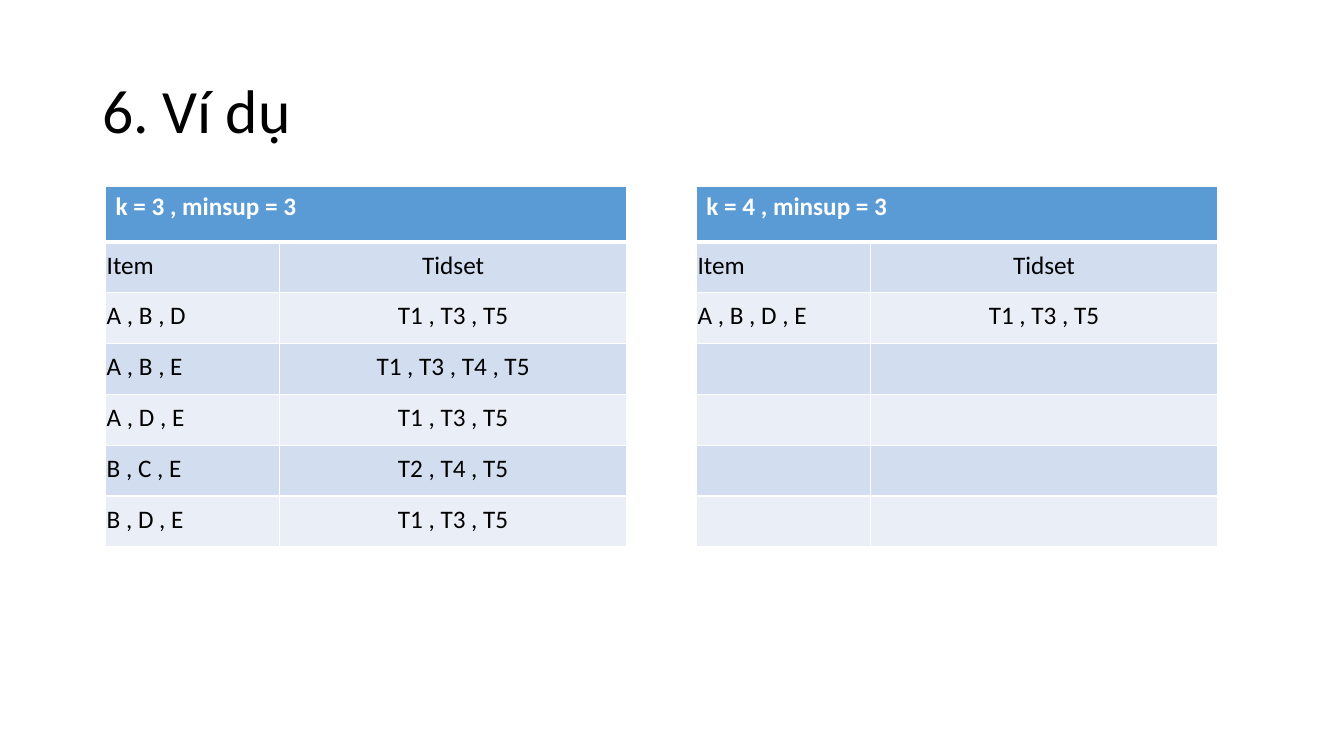
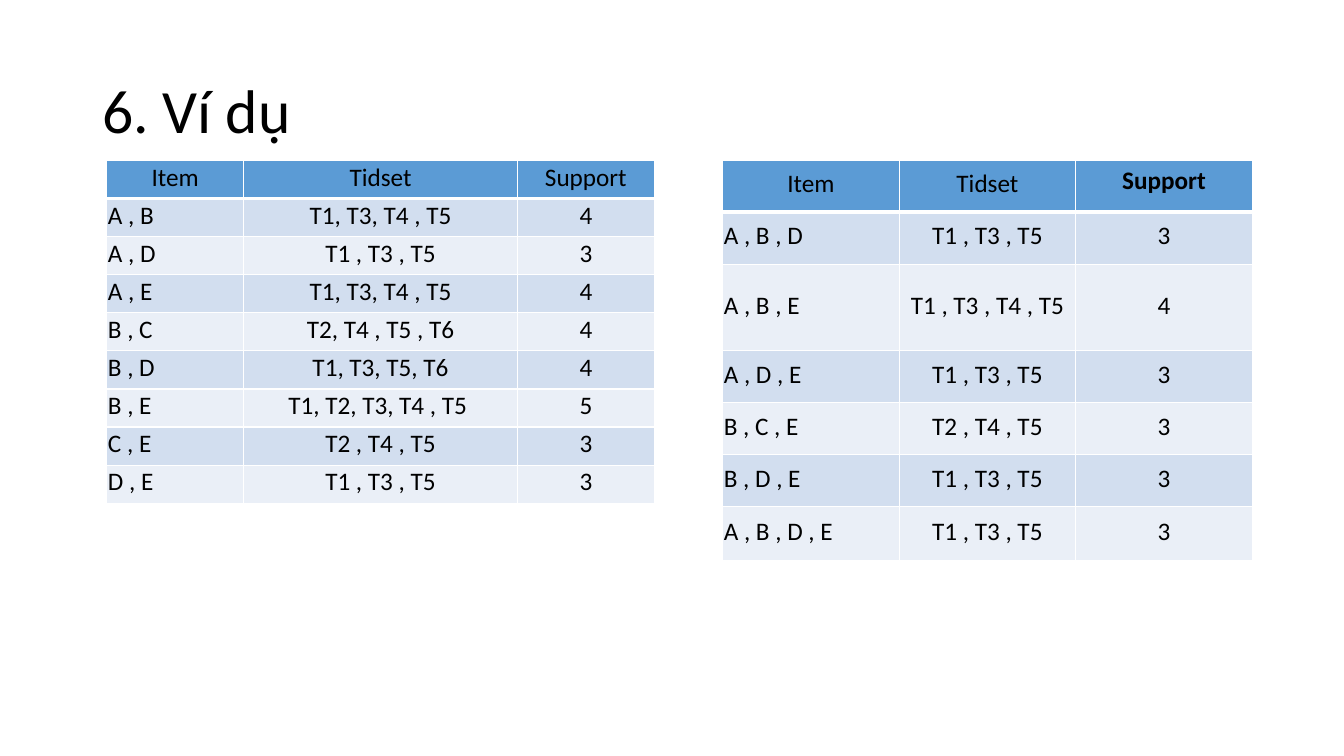
import pptx
import pptx.dml.color
import pptx.enum.text
import pptx.oxml
import pptx.oxml.ns
import pptx.util

Cm = pptx.util.Cm
Pt = pptx.util.Pt
RGBColor = pptx.dml.color.RGBColor
ANCHOR = pptx.enum.text.MSO_ANCHOR
ALIGN = pptx.enum.text.PP_ALIGN

# Shared style
BLACK = RGBColor(0x00, 0x00, 0x00)
WHITE = RGBColor(0xFF, 0xFF, 0xFF)
HEADER_BLUE = RGBColor(0x5B, 0x9B, 0xD5)
BANDS = (RGBColor(0xD2, 0xDE, 0xEF), RGBColor(0xEA, 0xEF, 0xF7))
FONT = "Calibri"
TITLE = "6. Ví dụ"
TITLE_BOX = (2.33, 1.01, 29.21, 3.68)

# Table contents
PAIRS = [
    ("A , B", "T1, T3, T4 , T5", "4"),
    ("A , D", "T1 , T3 , T5", "3"),
    ("A , E", "T1, T3, T4 , T5", "4"),
    ("B , C", "T2, T4 , T5 , T6", "4"),
    ("B , D", "T1, T3, T5, T6", "4"),
    ("B , E", "T1, T2, T3, T4 , T5 ", "5"),
    ("C , E", "T2 , T4 , T5", "3"),
    ("D , E", "T1 , T3 , T5", "3"),
]
TRIPLES = [
    ("A , B , D", "T1 , T3 , T5", "3"),
    ("A , B , E", "T1 , T3 , T4 , T5", "4"),
    ("A , D , E", "T1 , T3 , T5", "3"),
    ("B , C , E", "T2 , T4 , T5", "3"),
    ("B , D , E", "T1 , T3 , T5", "3"),
]
QUADRUPLES = [("A , B , D , E", "T1 , T3 , T5", "3")]
COLUMN_NAMES = ("Item", "Tidset", "Support")


def add_run(paragraph, text, size, color=BLACK, bold=False):
    run = paragraph.add_run()
    run.text = text
    run.font.name = FONT
    run.font.size = Pt(size)
    run.font.bold = bold
    run.font.color.rgb = color


def add_title(slide, left, top, width, height):
    shape = slide.shapes.add_textbox(Cm(left), Cm(top), Cm(width), Cm(height))
    frame = shape.text_frame
    frame.word_wrap = True
    frame.vertical_anchor = ANCHOR.MIDDLE
    paragraph = frame.paragraphs[0]
    paragraph.line_spacing = 0.9
    add_run(paragraph, TITLE, 44)


def set_borders(cell, top, bottom):
    """Draw white cell borders; top and bottom are widths in points."""
    properties = cell._tc.get_or_add_tcPr()
    for side, width in (("L", 1), ("R", 1), ("T", top), ("B", bottom)):
        properties.append(pptx.oxml.parse_xml(
            f'<a:ln{side} {pptx.oxml.ns.nsdecls("a")} w="{Pt(width)}">'
            f'<a:solidFill><a:srgbClr val="{WHITE}"/></a:solidFill></a:ln{side}>'))


def fill_cell(cell, text, align, color=BLACK, bold=False, tight=True):
    """Write a cell; tight cells have narrow margins and centred height."""
    if tight:
        cell.vertical_anchor = ANCHOR.MIDDLE
        cell.margin_left = cell.margin_top = cell.margin_right = Cm(0.03)
        cell.margin_bottom = Cm(0.13)
    paragraph = cell.text_frame.paragraphs[0]
    paragraph.alignment = align
    add_run(paragraph, text, 18, color, bold)


def add_banded_table(slide, left, top, widths, heights):
    """Add an empty table with a header row and two alternating bands."""
    table = slide.shapes.add_table(
        len(heights), len(widths), Cm(left), Cm(top),
        Cm(sum(widths)), Cm(sum(heights))).table
    for column, width in zip(table.columns, widths):
        column.width = Cm(width)
    for index, height in enumerate(heights):
        table.rows[index].height = Cm(height)
        for cell in table.rows[index].cells:
            set_borders(cell, 3 if index == 1 else 1, 3 if index == 0 else 1)
            cell.fill.solid()
            cell.fill.fore_color.rgb = BANDS[(index - 1) % 2] if index else HEADER_BLUE
    return table


def fill_rows(table, rows, first_row):
    for row_index, row in enumerate(rows, first_row):
        for column_index, text in enumerate(row):
            fill_cell(table.cell(row_index, column_index), text,
                      ALIGN.CENTER if column_index else ALIGN.LEFT)


def add_level_table(slide, left, top, caption, itemsets):
    """Add the frequent itemsets of one level under a merged caption."""
    table = add_banded_table(slide, left, top, (4.38, 8.76), [1.4] + [1.28] * 6)
    table.cell(0, 0).merge(table.cell(0, 1))
    fill_cell(table.cell(0, 0), caption, ALIGN.LEFT, WHITE, bold=True, tight=False)
    fill_rows(table, [COLUMN_NAMES[:2]] + [row[:2] for row in itemsets], 1)


def add_support_table(slide, left, top, widths, heights, itemsets, bold_last=False):
    """Add itemsets with their support under a row of column names."""
    table = add_banded_table(slide, left, top, widths, heights)
    for index, name in enumerate(COLUMN_NAMES):
        strong = bold_last and index == len(COLUMN_NAMES) - 1
        fill_cell(table.cell(0, index), name, ALIGN.CENTER, bold=strong, tight=not strong)
    fill_rows(table, itemsets, 1)


def add_titled_slide(presentation):
    slide = presentation.slides.add_slide(presentation.slide_layouts[6])
    add_title(slide, *TITLE_BOX)
    return slide


def build_levels_slide(presentation):
    slide = add_titled_slide(presentation)
    add_level_table(slide, 2.66, 4.7, "k = 3 , minsup = 3", TRIPLES)
    add_level_table(slide, 17.55, 4.7, "k = 4 , minsup = 3", QUADRUPLES)


def build_support_slide(presentation):
    slide = add_titled_slide(presentation)
    add_support_table(slide, 2.69, 4.04, (3.45, 6.9, 3.45), [0.96] * 9, PAIRS)
    add_support_table(slide, 18.21, 4.04, [4.45] * 3,
                      [1.31, 1.31, 2.17, 1.31, 1.31, 1.31, 1.36],
                      TRIPLES + QUADRUPLES, bold_last=True)


def main():
    presentation = pptx.Presentation()
    presentation.slide_width = Cm(33.87)
    presentation.slide_height = Cm(19.05)
    build_levels_slide(presentation)
    build_support_slide(presentation)
    presentation.save("out.pptx")


if __name__ == "__main__":
    main()
